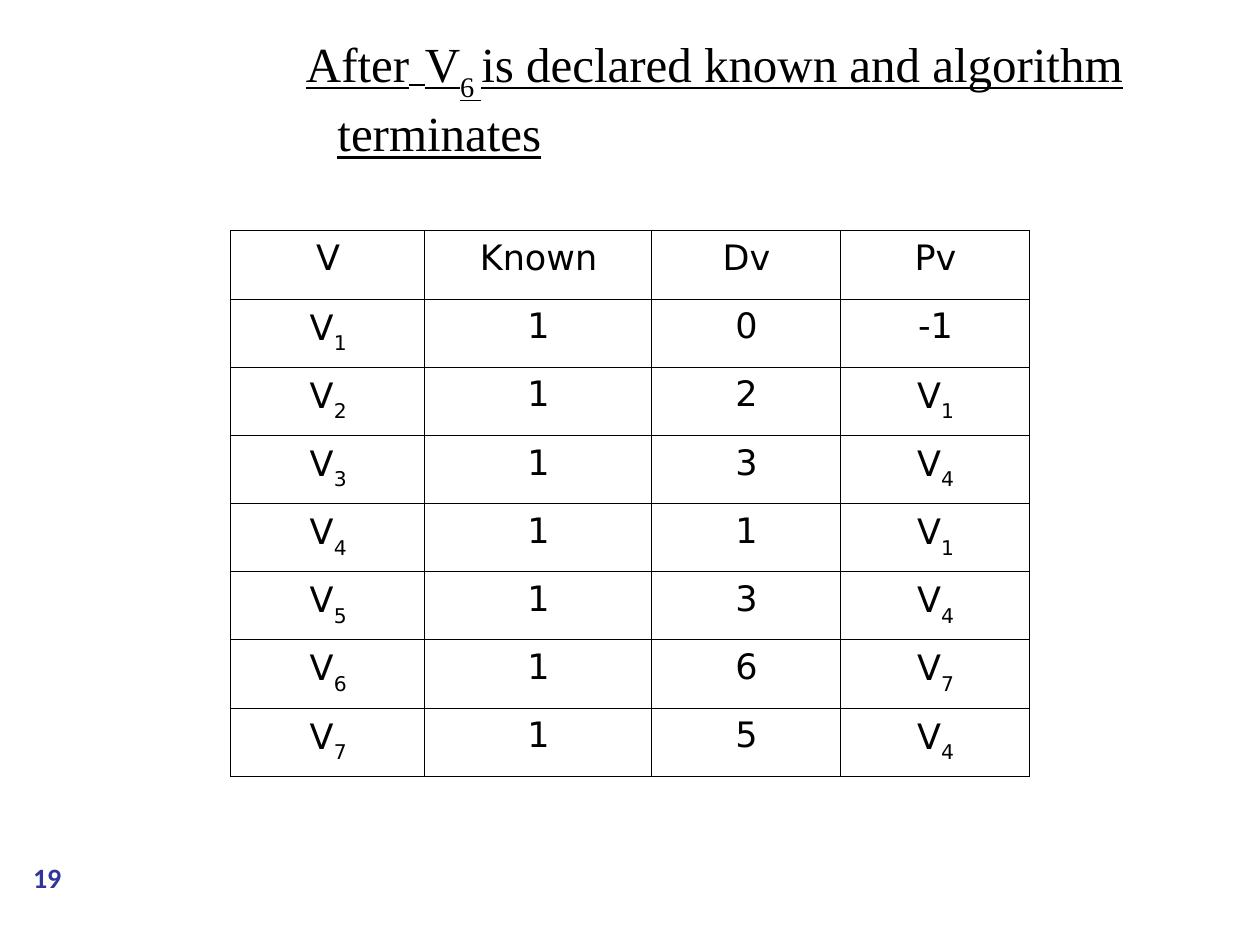
"""Build the slide with the final vertex table of the shortest-path run."""
from lxml import etree
from pptx import Presentation
from pptx.dml.color import RGBColor
from pptx.enum.shapes import MSO_SHAPE
from pptx.enum.text import MSO_ANCHOR, PP_ALIGN
from pptx.oxml.ns import qn
from pptx.util import Inches, Pt

OVAL = MSO_SHAPE.OVAL
MIDDLE = MSO_ANCHOR.MIDDLE
LEFT, CENTER = PP_ALIGN.LEFT, PP_ALIGN.CENTER
SERIF, SANS = "Times New Roman", "DejaVu Sans"
BLACK, WHITE, INDIGO = "000000", "FFFFFF", "333399"


def color(value):
    return RGBColor.from_string(value)


def write(frame, text, font=SANS, size=20, fill=BLACK, bold=False, underline=False,
          align=CENTER, margin=0, indent=0, spacing=None, space_font=None):
    """Write text in one paragraph; each part between bars is a run, and "_" marks a subscript."""
    paragraph = frame.paragraphs[0]
    paragraph.alignment = align
    paragraph.line_spacing = spacing
    properties = paragraph._p.get_or_add_pPr()
    properties.set("marL", str(Inches(margin)))
    properties.set("indent", str(Inches(indent)))
    for part in text.split("|"):
        run = paragraph.add_run()
        run.text = part.removeprefix("_")
        run.font.name = space_font if part == " " and space_font else font
        run.font.size = Pt(size)
        run.font.bold = bold
        run.font.underline = underline
        run.font.color.rgb = color(fill)
        if part.startswith("_"):
            run._r.get_or_add_rPr().set("baseline", "-30000")


presentation = Presentation()
presentation.slide_width = Inches(10)
presentation.slide_height = Inches(7.5)
slide = presentation.slides.add_slide(presentation.slide_layouts[6])

badge = slide.shapes.add_shape(OVAL, 0, Inches(6.8), Inches(0.75), Inches(0.33))
badge.shadow.inherit = False
badge.fill.solid()
badge.fill.fore_color.rgb = color(WHITE)
badge.line.color.rgb = color(WHITE)
badge.line.width = Pt(2)
number = badge.text_frame
number.margin_left = number.margin_right = number.margin_top = number.margin_bottom = 0
number.vertical_anchor = MIDDLE
write(number, "19", font="Calibri", size=16, fill=INDIGO, bold=True)

title = slide.shapes.add_textbox(Inches(0.33), Inches(0.3), Inches(9.42), Inches(0.95)).text_frame
title.word_wrap = True
title.vertical_anchor = MIDDLE
write(title, "After| |V|_6 |is declared known and algorithm terminates", font=SERIF, size=28,
      underline=True, align=LEFT, margin=2.25, indent=-0.25, space_font=SANS)

rows = [("V", "Known", "Dv", "Pv")]
results = [(0, "-1"), (2, "V|_1"), (3, "V|_4"), (1, "V|_1"), (3, "V|_4"), (6, "V|_7"), (5, "V|_4")]
for vertex, (distance, previous) in enumerate(results, start=1):
    rows.append((f"V|_{vertex}", "1", str(distance), previous))

column_widths = [1.54, 1.8, 1.5, 1.5]
table = slide.shapes.add_table(len(rows), len(column_widths), Inches(1.83), Inches(1.83),
                               Inches(sum(column_widths)), Inches(4.33)).table
table.first_row = table.horz_banding = False
for column, width in zip(table.columns, column_widths):
    column.width = Inches(width)

for row_index, row in enumerate(rows):
    for column_index, text in enumerate(row):
        cell = table.cell(row_index, column_index)
        cell.margin_left = cell.margin_right = Inches(0.1)
        cell.margin_top, cell.margin_bottom = Inches(0.07), Inches(0.05)
        write(cell.text_frame, text, margin=0.38, indent=-0.37, spacing=0.96)
        properties = cell._tc.get_or_add_tcPr()
        for side in ("a:lnL", "a:lnR", "a:lnT", "a:lnB"):
            border = etree.SubElement(properties, qn(side), w=str(Pt(0.23)))
            solid = etree.SubElement(border, qn("a:solidFill"))
            etree.SubElement(solid, qn("a:srgbClr"), val=BLACK)
        cell.fill.background()

presentation.save("out.pptx")
